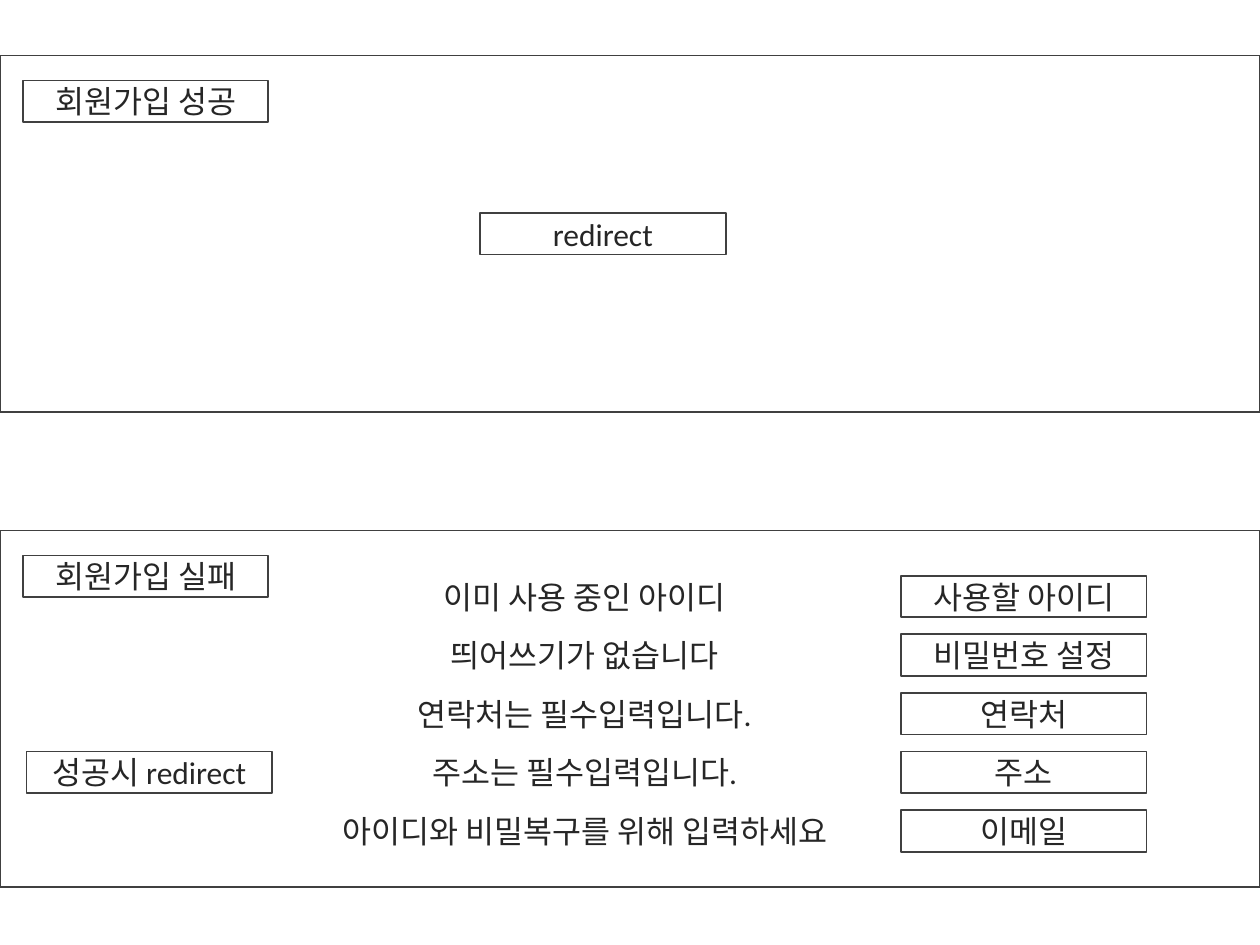
from pptx import Presentation
from pptx.util import Inches, Pt
from pptx.dml.color import RGBColor
from pptx.enum.shapes import MSO_SHAPE
from pptx.enum.text import PP_ALIGN, MSO_ANCHOR


def color(code):
    return RGBColor.from_string(code)


def place(box, text="", edge=True):
    """Draw a box, or plain centred text when edge is False."""
    area = [Inches(n) for n in box]
    if edge:
        item = slide.shapes.add_shape(MSO_SHAPE.RECTANGLE, *area)
        item.shadow.inherit = False
        item.fill.background()
        item.line.color.rgb = color("404040")
        item.line.width = Pt(1)
    else:
        item = slide.shapes.add_textbox(*area)
    if text:
        frame = item.text_frame
        for key, value in FRAME.items():
            setattr(frame, key, value)
        para = frame.paragraphs[0]
        para.alignment = PP_ALIGN.CENTER
        run = para.add_run()
        run.text = text
        for key, value in FONT.items():
            setattr(run.font, key, value)
        run.font.color.rgb = color("262626")


FRAME = {"word_wrap": True, "vertical_anchor": MSO_ANCHOR.MIDDLE,
         "margin_top": 0, "margin_bottom": 0}
FONT = {"name": "Calibri", "size": Pt(18)}

deck = Presentation()
deck.slide_width, deck.slide_height = Inches(10), Inches(7.5)
slide = deck.slides.add_slide(deck.slide_layouts[6])

# Grid: two panels, and five rows in the lower one
WIDE, HIGH = 1.95, 0.33
LEFT, MID, RIGHT = 0.18, 4.64, 7.15
TOPS = [0.44, 4.21]
ROWS = [4.57 + 0.465 * n for n in range(5)]

# Panels with their titles
for top, title in zip(TOPS, ["회원가입 성공", "회원가입 실패"]):
    place((0, top, 10, 2.83))
    place((LEFT, top + 0.2, WIDE, HIGH), title)

# Redirect boxes
place((3.81, 1.69, WIDE, HIGH), "redirect")
place((0.21, ROWS[3], WIDE, HIGH), "성공시 redirect")

# Messages centred on one axis, each with its field
fields = [
    ("이미 사용 중인 아이디", 3, "사용할 아이디"),
    ("띄어쓰기가 없습니다", 3, "비밀번호 설정"),
    ("연락처는 필수입력입니다.", 3.44, "연락처"),
    ("주소는 필수입력입니다.", 3.44, "주소"),
    ("아이디와 비밀복구를 위해 입력하세요", 4.62, "이메일"),
]
for top, (note, span, field) in zip(ROWS, fields):
    place((MID - span / 2, top, span, HIGH), note, edge=False)
    place((RIGHT, top, WIDE, HIGH), field)

deck.save("out.pptx")
